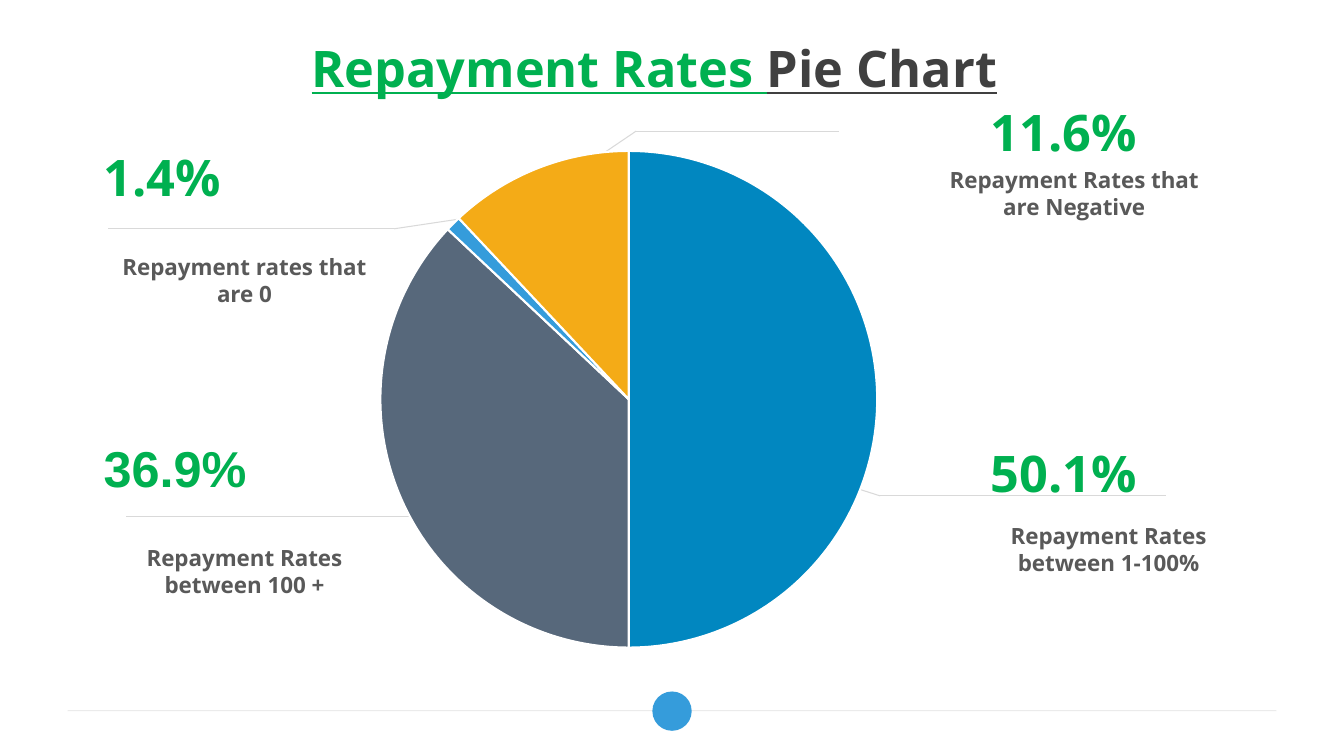
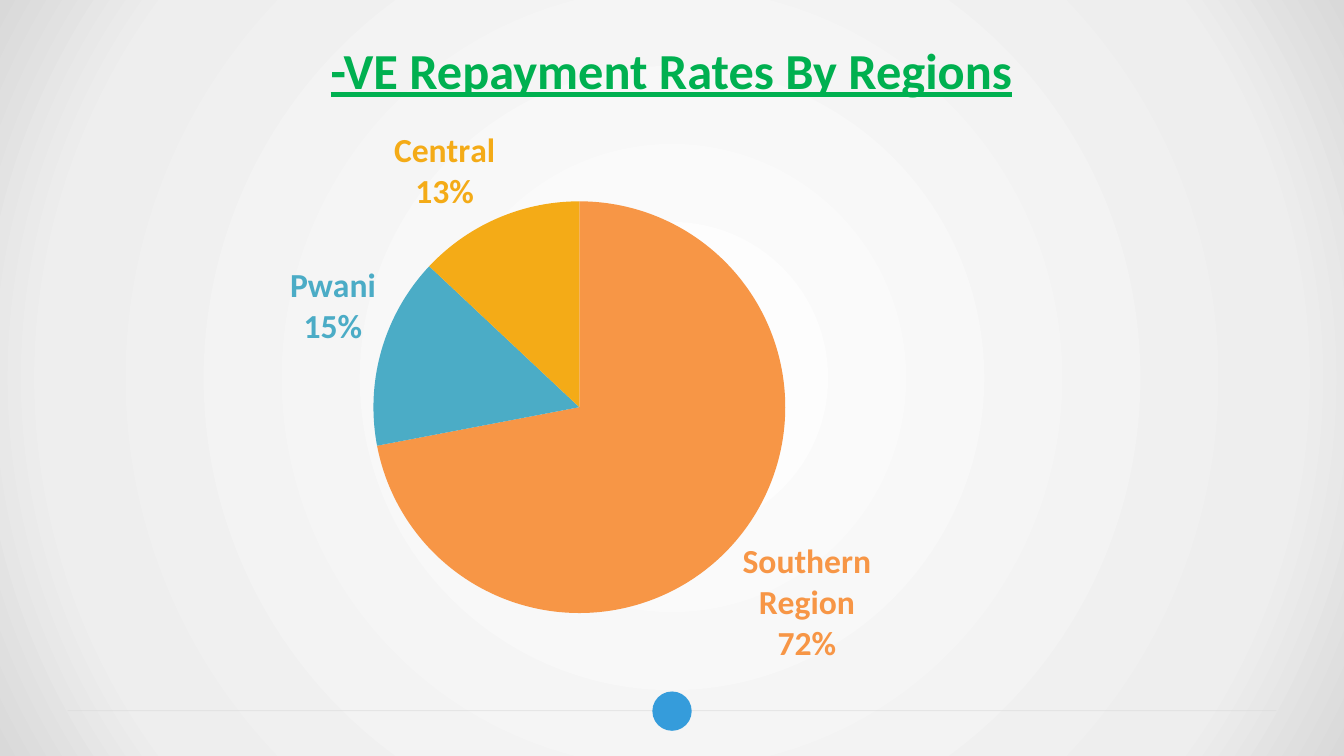
"""Build two slides of repayment-rate pie charts."""
from dataclasses import dataclass

from lxml.etree import SubElement
from pptx import Presentation
from pptx.chart.data import CategoryChartData
from pptx.dml.color import RGBColor
from pptx.enum.chart import XL_CHART_TYPE as ChartType, XL_LABEL_POSITION as LabelPos
from pptx.enum.shapes import MSO_CONNECTOR as Connector, MSO_SHAPE as Shape
from pptx.enum.text import MSO_ANCHOR as Anchor, PP_ALIGN as Align
from pptx.oxml import parse_xml
from pptx.oxml.ns import nsdecls, qn
from pptx.util import Inches, Pt


@dataclass(frozen=True)
class Theme:
    green: str = "00B050"
    dark: str = "404040"
    grey: str = "595959"
    rule: str = "D9D9D9"
    mist: str = "EEEEEE"
    white: str = "FFFFFF"
    blue: str = "0187C0"
    slate: str = "57687B"
    sky: str = "359CDB"
    amber: str = "F4AB17"
    orange: str = "F79646"
    teal: str = "4BACC6"
    sans: str = "Open Sans"
    plain: str = "Calibri"
    alt: str = "Arial"
    title: int = 36
    label: int = 24
    caption: int = 16
    chart: int = 10


T = Theme()


def add_text(slide, box, runs, size, align=Align.LEFT, anchor=Anchor.TOP, underline=False):
    frame = slide.shapes.add_textbox(*map(Inches, box)).text_frame
    frame.word_wrap = True
    frame.vertical_anchor = anchor
    paragraph = frame.paragraphs[0]
    paragraph.alignment = align
    for words, font, color in runs:
        run = paragraph.add_run()
        run.text = words
        run.font.name, run.font.size = font, Pt(size)
        run.font.bold, run.font.underline = True, underline
        run.font.color.rgb = RGBColor.from_string(color)


def add_rule(slide, start, end):
    rule = slide.shapes.add_connector(Connector.STRAIGHT, *map(Inches, start + end))
    rule.line.color.rgb = RGBColor.from_string(T.rule)
    rule.line.width = Pt(0.75)
    SubElement(rule.element.spPr, qn("a:effectLst"))
    return rule


prs = Presentation()
prs.slide_width, prs.slide_height = Inches(13.33), Inches(7.5)
blank = prs.slide_layouts[6]
rates, regions = [prs.slides.add_slide(blank) for _ in range(2)]

footer_rule = add_rule(rates, (0.67, 7.05), (12.66, 7.05))
rule_color = footer_rule.element.spPr.find(".//" + qn("a:srgbClr"))
SubElement(rule_color, qn("a:alpha")).set("val", "50000")
footer_dot = rates.shapes.add_shape(Shape.OVAL, *map(Inches, (6.47, 6.86, 0.39, 0.39)))
footer_dot.shadow.inherit = False
footer_dot.fill.solid()
footer_dot.fill.fore_color.rgb = RGBColor.from_string(T.sky)
footer_dot.line.fill.background()
for footer_part in (footer_rule, footer_dot):
    blank.element.cSld.spTree.append(footer_part.element)

stops = "".join(
    f'<a:gs pos="{place}"><a:srgbClr val="{color}"/></a:gs>'
    for place, color in ((0, T.white), (81000, T.mist), (100000, T.rule))
)
regions.element.cSld.insert(0, parse_xml(
    f'<p:bg {nsdecls("p", "a")}><p:bgPr><a:gradFill><a:gsLst>{stops}</a:gsLst>'
    '<a:path path="circle"><a:fillToRect l="50000" t="50000" r="50000" b="50000"/></a:path>'
    "</a:gradFill><a:effectLst/></p:bgPr></p:bg>"
))

titles = [
    (rates, (0.49, 0.28, 12, 0.78),
     [("Repayment Rates ", T.sans, T.green), ("Pie Chart", T.sans, T.dark)]),
    (regions, (0.66, 0.3, 12, 0.78), [("-VE Repayment Rates By Regions", T.plain, T.green)]),
]
for slide, box, runs in titles:
    add_text(slide, box, runs, T.title, Align.CENTER, Anchor.MIDDLE, underline=True)

callouts = [
    ("50.1%", T.sans, (9.73, 4.34), "Repayment Rates between 1-100%", (9.5, 5.13),
     [(8.26, 4.77), (8.73, 4.92), (11.56, 4.92)]),
    ("11.6%", T.sans, (9.73, 0.95), "Repayment Rates that are Negative", (9.16, 1.6),
     [(5.75, 1.68), (6.31, 1.3), (8.32, 1.3)]),
    ("1.4%", T.sans, (0.93, 1.4), "Repayment rates that are 0", (0.93, 2.46),
     [(4.71, 2.15), (3.91, 2.27), (1.07, 2.27)]),
    ("36.9%", T.alt, (0.93, 4.29), "Repayment Rates between 100 +", (0.93, 5.35),
     [(4.34, 5.09), (4.08, 5.12), (1.25, 5.12)]),
]
for share, font, share_at, caption, caption_at, leader in callouts:
    for start, end in zip(leader, leader[1:]):
        add_rule(rates, start, end)
    add_text(rates, share_at + (2.99, 0.71), [(share, font, T.green)], T.title)
    add_text(rates, caption_at + (2.99, 0.64), [(caption, T.sans, T.grey)],
             T.caption, Align.CENTER)

pies = [
    (rates, (2.31, 1.09, 7.7, 6.11), (0.19, 0, 0.64, 0.94), False,
     [("1", 50, T.blue), ("2", 37, T.slate), ("3", 1, T.sky), ("4", 12, T.amber)]),
    (regions, (1.39, 1.11, 8.89, 5.92), (0.26, 0.15, 0.46, 0.69), True,
     [("Southern Region", 72, T.orange), ("Pwani", 15, T.teal), ("Central", 13, T.amber)]),
]
for slide, box, plot_area, labelled, slices in pies:
    names, values, colors = zip(*slices)
    pie_data = CategoryChartData()
    pie_data.categories = names
    pie_data.add_series("Series 1", values)
    chart = slide.shapes.add_chart(ChartType.PIE, *map(Inches, box), pie_data).chart
    chart.has_legend = chart.has_title = False
    chart.font.name, chart.font.size = T.plain, Pt(T.chart)
    pie = chart.plots[0]
    pie.vary_by_categories = True

    area = chart.element.chart.plotArea
    for old_layout in area.findall(qn("c:layout")):
        area.remove(old_layout)
    measures = "".join(f'<c:{tag} val="{value}"/>' for tag, value in zip("xywh", plot_area))
    area.insert(0, parse_xml(
        f'<c:layout {nsdecls("c")}><c:manualLayout><c:layoutTarget val="inner"/>'
        f'<c:xMode val="edge"/><c:yMode val="edge"/>{measures}</c:manualLayout></c:layout>'
    ))

    for index, color in enumerate(colors):
        point = pie.series[0].points[index]
        point.format.fill.solid()
        point.format.fill.fore_color.rgb = RGBColor.from_string(color)
        if not labelled:
            point.format.line.color.rgb = RGBColor.from_string(T.white)
            point.format.line.width = Pt(1.5)
            continue
        point.format.line.fill.background()
        label = point.data_label
        label.font.name, label.font.size, label.font.bold = T.plain, Pt(T.label), True
        label.font.color.rgb = RGBColor.from_string(color)
        label.position = LabelPos.OUTSIDE_END

    for label_xml in area.iter(qn("c:dLbl")):
        for tag, shown in (("showVal", "0"), ("showCatName", "1"), ("showPercent", "1")):
            label_xml.find(qn(f"c:{tag}")).set("val", shown)
        SubElement(label_xml, qn("c:separator")).text = "\n"

prs.save("out.pptx")
